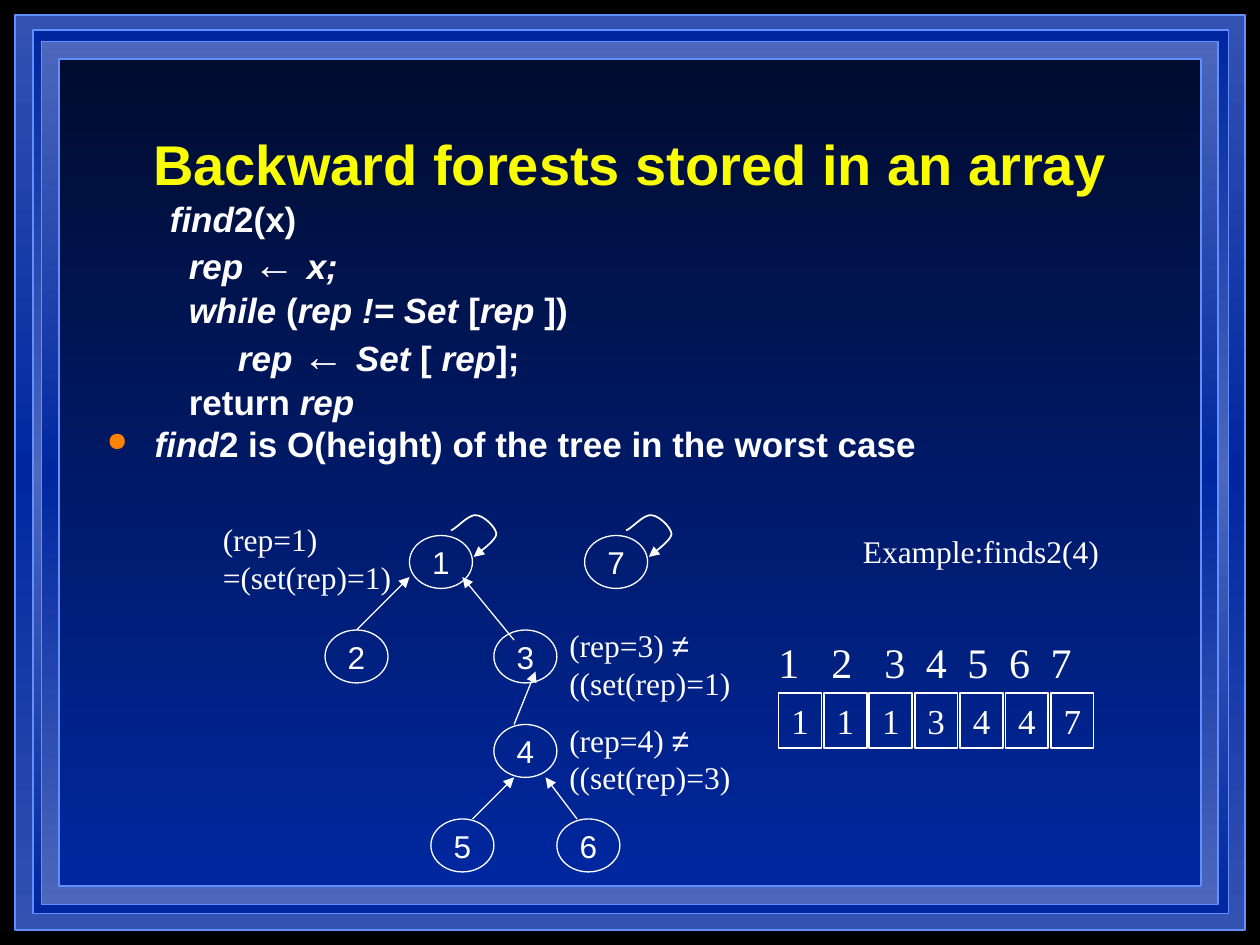
from copy import deepcopy
from itertools import accumulate

from pptx import Presentation
from pptx.dml.color import RGBColor
from pptx.enum.shapes import MSO_CONNECTOR as Link, MSO_SHAPE as Kind
from pptx.enum.text import MSO_ANCHOR as Anchor, PP_ALIGN as Align
from pptx.oxml.ns import qn
from pptx.oxml.xmlchemy import OxmlElement as Node
from pptx.util import Pt

PX = 9144
WHITE, BLUE, EDGE = "FFFFFF", "00279F", "618FFD"
SERIF, SANS = "Times New Roman", "Arial"
NOTE = {"name": SERIF, "size": Pt(18)}
INDEX = {"name": SERIF, "size": Pt(24)}
CELL = {"name": SERIF, "size": Pt(20)}
LABEL = {"name": SANS, "size": Pt(18)}
CODE = {"name": SANS, "size": Pt(20), "bold": True}
HEAD = {"name": SANS, "size": Pt(32), "bold": True}
SIGNS = {
    "←": {"size": Pt(24), "italic": False},
    "≠": {"name": SANS, "italic": False},
}


def px(*nums):
    return [round(n * PX) for n in nums]


def tint(paint, color):
    paint.rgb = RGBColor.from_string(color)


def shift(box, x, y, w, h):
    return box[0] + x, box[1] + y, w, h


def style(item, values):
    for key, value in values.items():
        setattr(item, key, value)


def add(parent, tag, **attrs):
    item = Node(tag)
    for key, value in attrs.items():
        item.set(key, str(value))
    parent.append(item)
    return item


def write(para, text, form, color=WHITE):
    for i, part in enumerate(text.split("*")):
        if part:
            run = para.add_run()
            run.text = part
            slant = {"italic": True} if i % 2 else {}
            style(run.font, {**form, **slant, **SIGNS.get(part.strip(), {})})
            tint(run.font.color, color)


def area(slide, box):
    frame = slide.shapes.add_textbox(*px(*box)).text_frame
    frame.word_wrap = True
    return frame


def note(slide, box, text, form=NOTE):
    para = area(slide, box).paragraphs[0]
    write(para, text, form)
    return para


def stroke(shape, color, width):
    shape.line.width = Pt(width)
    tint(shape.line.color, color)


def shape(slide, kind, box, color, width):
    item = slide.shapes.add_shape(kind, *px(*box))
    item.shadow.inherit = False
    stroke(item, color, width)
    return item


def cell(slide, kind, box, text, form, width):
    item = shape(slide, kind, box, WHITE, width)
    item.fill.background()
    frame = item.text_frame
    style(frame, {"word_wrap": False, "vertical_anchor": Anchor.MIDDLE})
    para = frame.paragraphs[0]
    para.alignment = Align.CENTER
    write(para, text, form)


def panel(slide, box, colors):
    item = shape(slide, Kind.RECTANGLE, box, EDGE, 1)
    fill = item.fill
    fill.gradient()
    fill.gradient_angle = 270
    stops = item.element.find(".//" + qn("a:gsLst"))
    for _ in colors[2:]:
        stops.append(deepcopy(stops[0]))
    for i, (stop, color) in enumerate(zip(fill.gradient_stops, colors)):
        stop.position = i / (len(colors) - 1)
        tint(stop.color, color)


def border(slide, box):
    panel(slide, shift(box, 0, 0, 976, 726), ("3352B2", BLUE, "3352B2"))
    panel(slide, shift(box, 14, 12, 949, 701), (BLUE, "4C67BC", BLUE))
    panel(slide, shift(box, 21, 21, 934, 685), ("4C67BC", BLUE, "4C67BC"))
    panel(slide, shift(box, 35, 35, 906, 656), ("000C2F", BLUE))


def title(slide, box):
    frame = area(slide, box)
    frame.vertical_anchor = Anchor.MIDDLE
    para = frame.paragraphs[0]
    para.alignment = Align.CENTER
    write(para, "Backward forests stored in an array", HEAD, "FAFD00")


def code(slide, box):
    frame = area(slide, box)
    rows = [
        (50, "*find*2(x)"),
        (65, "*rep *← *x;*"),
        (65, "*while *(*rep != Set *[*rep *])"),
        (104, "*rep *← *Set* [ *rep*];"),
        (65, "return *rep*"),
        (38, "*find*2 is O(height) of the tree in the worst case"),
    ]
    for i, (left, text) in enumerate(rows):
        para = frame.add_paragraph() if i else frame.paragraphs[0]
        style(para, {"line_spacing": 0.8, "space_before": Pt(5)})
        write(para, text, CODE)
        props = para._p.get_or_add_pPr()
        props.set("marL", str(left * PX))
    props.set("indent", str(-left * PX))
    add(add(props, "a:buClr"), "a:srgbClr", val="FF8203")
    add(props, "a:buSzPct", val=75000)
    add(props, "a:buChar", char="●")


def curve(a, b, c, d, steps=10):
    for i in range(1, steps + 1):
        t = i / steps
        u = 1 - t
        mix = (u**3, 3 * u * u * t, 3 * u * t * t, t**3)
        yield px(*(sum(m * n for m, n in zip(mix, axis)) for axis in zip(a, b, c, d)))


def loop(slide, box):
    knots = [(18, 34), (21, 31), (35, 22), (36, 16), (36, 11),
             (26, 1), (20, 1), (14, 0), (5, 11), (0, 13)]
    knots = [(box[0] + x, box[1] + y) for x, y in knots]
    path = slide.shapes.build_freeform(*px(*knots[0]), scale=1.0)
    for i in range(0, 9, 3):
        path.add_line_segments(list(curve(*knots[i:i + 4])), close=False)
    item = path.convert_to_shape()
    item.shadow.inherit = False
    item.fill.background()
    stroke(item, WHITE, 1)
    add(item.line._get_or_add_ln(), "a:headEnd", type="triangle")


def arrow(slide, box, ends):
    x, y = box[:2]
    a, b, c, d = ends
    item = slide.shapes.add_connector(Link.STRAIGHT, *px(x + a, y + b, x + c, y + d))
    stroke(item, WHITE, 0.75)
    add(item.line._get_or_add_ln(), "a:tailEnd", type="triangle")
    add(item._element.spPr, "a:effectLst")


def tree(slide, box):
    nodes = {"1": (158, 17), "2": (91, 92), "3": (225, 92), "4": (225, 167),
             "5": (175, 242), "6": (275, 242), "7": (297, 17)}
    links = [(116, 92, 158, 50), (241, 100, 200, 50), (241, 167, 258, 125),
             (208, 242, 241, 209), (291, 242, 266, 209)]
    for name, (x, y) in nodes.items():
        cell(slide, Kind.OVAL, shift(box, x, y, 50, 42), name, LABEL, 0.75)
    for name in "17":
        x, y = nodes[name]
        loop(slide, shift(box, x + 33, y - 17, 36, 34))
    for ends in links:
        arrow(slide, box, ends)
    note(slide, shift(box, 0, 0, 183, 70), "(rep=1) =(set(rep)=1)")
    note(slide, shift(box, 275, 84, 150, 70), "(rep=3) *≠* ((set(rep)=1)")
    note(slide, shift(box, 275, 159, 150, 70), "(rep=4) *≠* ((set(rep)=3)")


def array(slide, box):
    note(slide, shift(box, 67, 0, 223, 40), "Example:finds2(4)")
    para = note(slide, shift(box, 0, 83, 258, 50), "\t".join("1234567"), INDEX)
    tabs = add(para._p.get_or_add_pPr(), "a:tabLst")
    for pos in accumulate([42] * 2 + [33] * 4):
        add(tabs, "a:tab", pos=pos * PX, algn="l")
    for i, name in enumerate("1113447"):
        spot = shift(box, 10 + 36 * i, 133, 34, 44)
        cell(slide, Kind.RECTANGLE, spot, name, CELL, 1)


def main():
    deck = Presentation()
    deck.slide_width, deck.slide_height = px(1000, 750)
    slide = deck.slides.add_slide(deck.slide_layouts[6])
    fill = slide.background.fill
    fill.solid()
    tint(fill.fore_color, "000000")
    border(slide, (12, 12, 976, 726))
    title(slide, (75, 67, 850, 125))
    code(slide, (75, 158, 867, 508))
    tree(slide, (167, 408, 425, 284))
    array(slide, (608, 417, 290, 177))
    deck.save("out.pptx")


if __name__ == "__main__":
    main()
